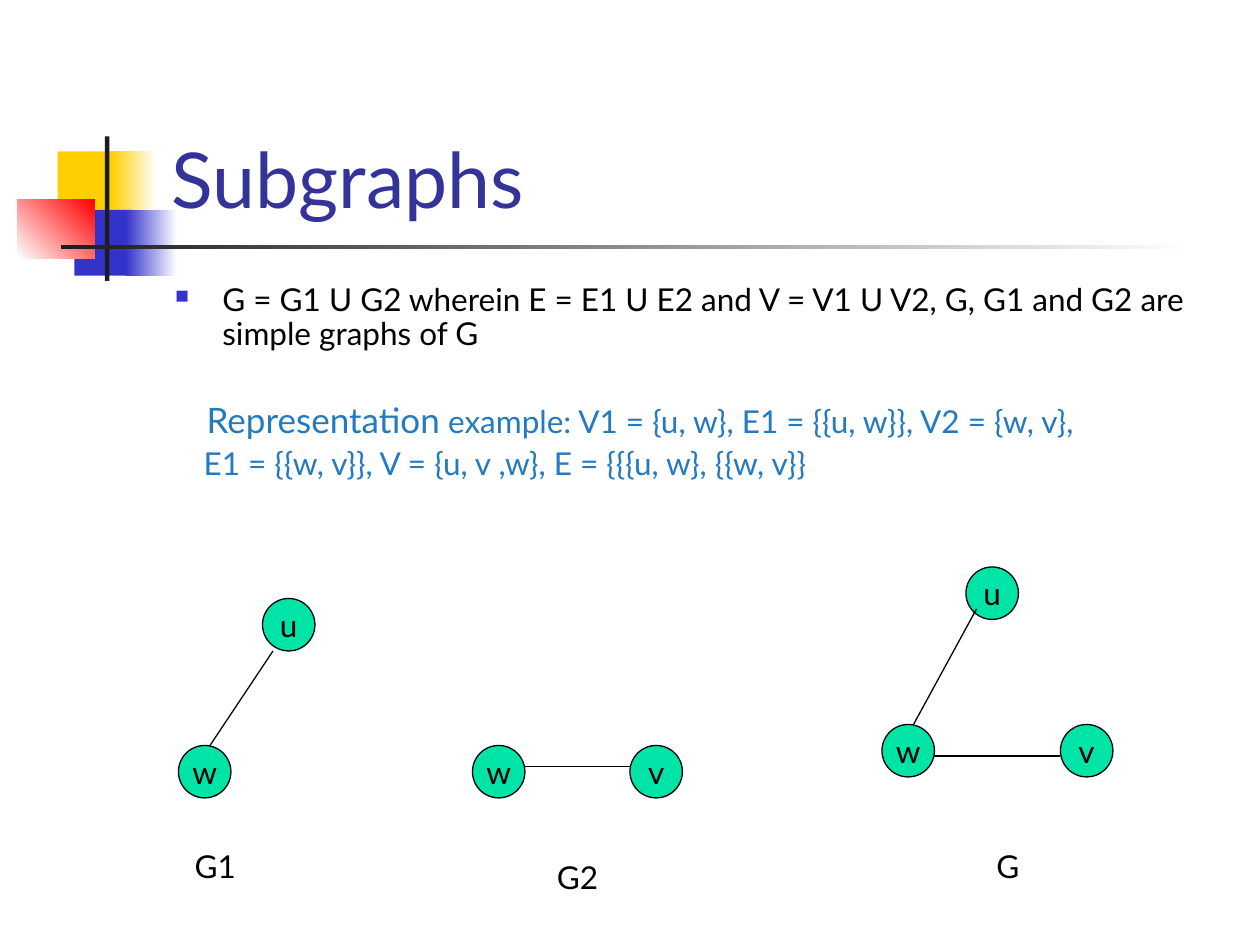
import pptx
import pptx.util
import pptx.dml.color
import pptx.enum.shapes
import pptx.enum.text
import pptx.oxml.ns
from dataclasses import dataclass
from lxml import etree

Pt = pptx.util.Pt
SHAPE = pptx.enum.shapes.MSO_SHAPE
ALIGN = pptx.enum.text.PP_ALIGN
ANCHOR = pptx.enum.text.MSO_ANCHOR
qn = pptx.oxml.ns.qn


@dataclass(frozen=True)
class Theme:
    font: str = "Lato"
    title: str = "333399"
    text: str = "000000"
    accent: str = "237AC1"
    vertex: str = "00E4A8"
    paper: str = "FFFFFF"
    yellow: str = "FFCF01"
    blue: str = "3333CC"
    red: str = "FF0000"
    rule: str = "1C1C1C"
    title_size: int = 44
    lead_size: int = 20
    body_size: int = 18
    line: float = 0.75
    node: int = 30


T = Theme()


def rgb(color):
    return pptx.dml.color.RGBColor.from_string(color)


def add_run(p, text, size, color):
    r = p.add_run()
    r.text = text
    r.font.name, r.font.size = T.font, Pt(size)
    r.font.color.rgb = rgb(color)


def add_shape(s, kind, box, fill, line=None):
    sp = s.shapes.add_shape(kind, *map(Pt, box))
    sp.shadow.inherit = False
    sp.fill.solid()
    sp.fill.fore_color.rgb = rgb(fill)
    if line:
        sp.line.color.rgb = rgb(line)
        sp.line.width = Pt(T.line)
    else:
        sp.line.fill.background()
    return sp


def add_fade(s, box, start, end, angle=0):
    sp = add_shape(s, SHAPE.RECTANGLE, box, start)
    sp.fill.gradient()
    sp.fill.gradient_angle = angle
    for stop, color, pos in zip(sp.fill.gradient_stops, (start, end), (0, 1)):
        stop.color.rgb = rgb(color)
        stop.position = pos


def add_label(s, kind, box, text, fill, line):
    sp = add_shape(s, kind, box, fill, line)
    tf = sp.text_frame
    tf.word_wrap = False
    tf.vertical_anchor = ANCHOR.MIDDLE
    p = tf.paragraphs[0]
    p.alignment = ALIGN.CENTER
    add_run(p, text, T.body_size, T.text)


def add_edge(s, x1, y1, x2, y2):
    ln = s.shapes.add_connector(pptx.enum.shapes.MSO_CONNECTOR.STRAIGHT,
                                Pt(x1), Pt(y1), Pt(x2), Pt(y2))
    ln.line.color.rgb = rgb(T.text)
    ln.line.width = Pt(T.line)
    etree.SubElement(ln._element.spPr, qn("a:effectLst"))


def add_text(s, box):
    tf = s.shapes.add_textbox(*map(Pt, box)).text_frame
    tf.word_wrap = True
    return tf


def set_indent(p, left, first):
    pPr = p._p.get_or_add_pPr()
    pPr.set("marL", str(Pt(left)))
    pPr.set("indent", str(Pt(first)))
    return pPr


def set_bullet(pPr, char, color, percent):
    clr = etree.SubElement(pPr, qn("a:buClr"))
    etree.SubElement(clr, qn("a:srgbClr"), val=color)
    etree.SubElement(pPr, qn("a:buSzPct"), val=str(percent * 1000))
    etree.SubElement(pPr, qn("a:buChar"), char=char)


def ornament(s, x, y):
    """Overlapping squares with a cross rule."""
    add_shape(s, SHAPE.RECTANGLE, (x + 23, y + 8.5, 34.5, 37.5), T.yellow)
    add_fade(s, (x + 53.5, y + 8.5, 26, 37.5), T.yellow, T.paper)
    add_shape(s, SHAPE.RECTANGLE, (x + 32.5, y + 42, 33, 37.5), T.blue)
    add_fade(s, (x + 62, y + 42, 29, 37.5), T.blue, T.paper)
    add_fade(s, (x, y + 36, 44, 33.5), T.paper, T.red, 45)
    add_shape(s, SHAPE.RECTANGLE, (x + 50, y, 2.5, 82.5), T.rule)
    add_fade(s, (x + 25, y + 62, 648, 2.5), T.rule, T.paper)


def title(s, box, text):
    tf = add_text(s, box)
    tf.vertical_anchor = ANCHOR.BOTTOM
    add_run(tf.paragraphs[0], text, T.title_size, T.title)


def body(s, box):
    # Each row: first-line indent, space before, alignment, runs
    rows = [
        (-27, 4.5, ALIGN.LEFT, [
            ("G = G1 U G2 wherein E = E1 U E2 and V = V1 U V2, "
             "G, G1 and G2 are simple graphs of G", T.body_size, T.text)]),
        (-9, 28.8, ALIGN.JUSTIFY, [
            ("Representation", T.lead_size, T.accent),
            (" ", T.body_size, T.text),
            ("example: V1 = {u, w}, E1 = {{u, w}}, V2 = {w, v},",
             T.body_size, T.accent)]),
        (-10.7, 4.5, ALIGN.JUSTIFY, [
            ("E1 = {{w, v}}, V = {u, v ,w}, E = {{{u, w}, {{w, v}}",
             T.body_size, T.accent)]),
    ]
    tf = add_text(s, box)
    for i, (first, before, align, runs) in enumerate(rows):
        p = tf.add_paragraph() if i else tf.paragraphs[0]
        p.alignment, p.line_spacing, p.space_before = align, 0.9, Pt(before)
        pPr = set_indent(p, 27, first)
        if i == 0:
            set_bullet(pPr, "■", T.blue, 60)
        for run in runs:
            add_run(p, *run)


def graph(s, x, y, vertices, edges, name, label):
    """Vertices, edges and caption, all relative to (x, y)."""
    for text, dx, dy in vertices:
        add_label(s, SHAPE.OVAL, (x + dx, y + dy, T.node, T.node),
                  text, T.vertex, T.text)
    for x1, y1, x2, y2 in edges:
        add_edge(s, x + x1, y + y1, x + x2, y + y2)
    dx, dy, w = label
    add_label(s, SHAPE.RECTANGLE, (x + dx, y + dy, w, 18),
              name, T.paper, T.paper)


def main():
    prs = pptx.Presentation()
    prs.slide_width, prs.slide_height = Pt(720), Pt(540)
    s = prs.slides.add_slide(prs.slide_layouts[6])

    ornament(s, 10, 78)
    title(s, (91, 16.5, 613.5, 115), "Subgraphs")
    body(s, (93, 159, 612, 123))

    # The two subgraphs and their union
    graph(s, 102, 342, [("u", 48, 0), ("w", 0, 84)],
          [(54, 30, 18, 84)], "G1", (6, 144, 30))
    graph(s, 270, 426, [("w", 0, 0), ("v", 90, 0)],
          [(30, 12, 90, 12)], "G2", (48, 66, 24))
    graph(s, 504, 324, [("u", 48, 0), ("w", 0, 90), ("v", 102, 90)],
          [(54, 24, 18, 90), (30, 108, 102, 108)], "G", (60, 162, 24))

    prs.save("out.pptx")


if __name__ == "__main__":
    main()
